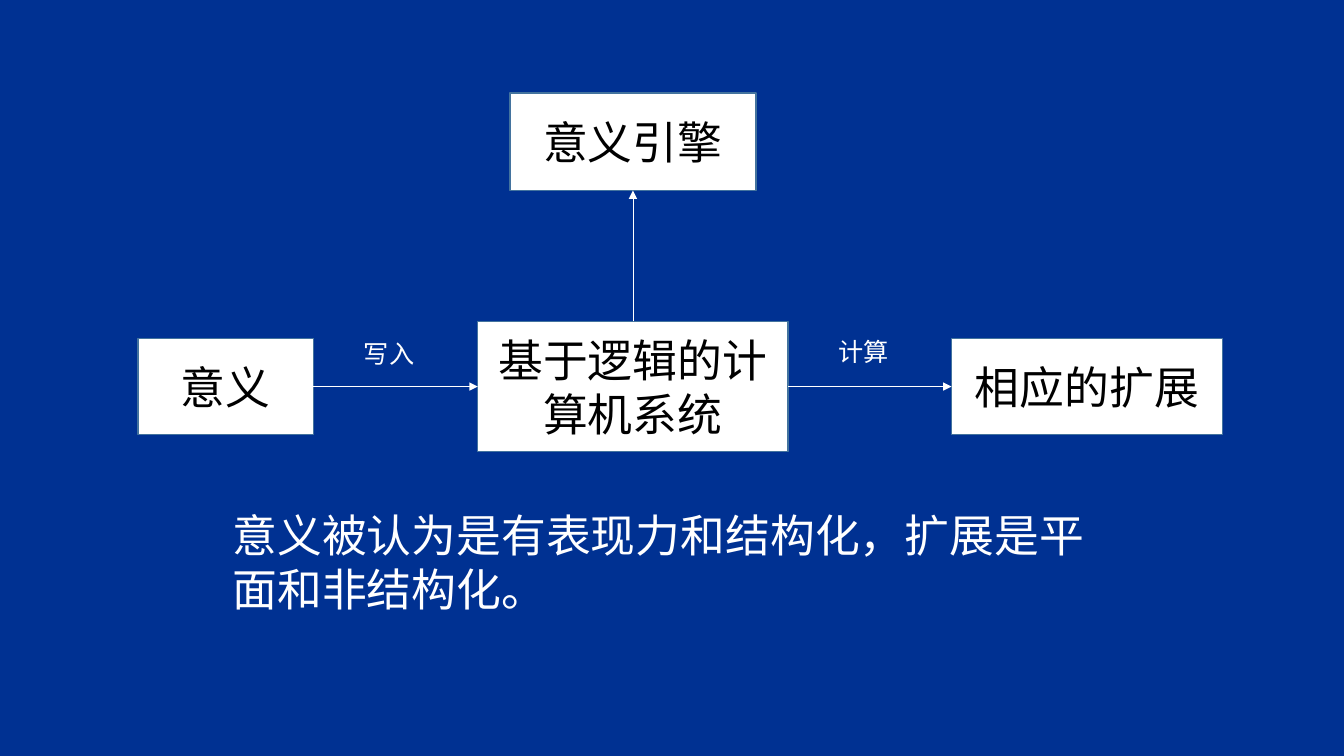
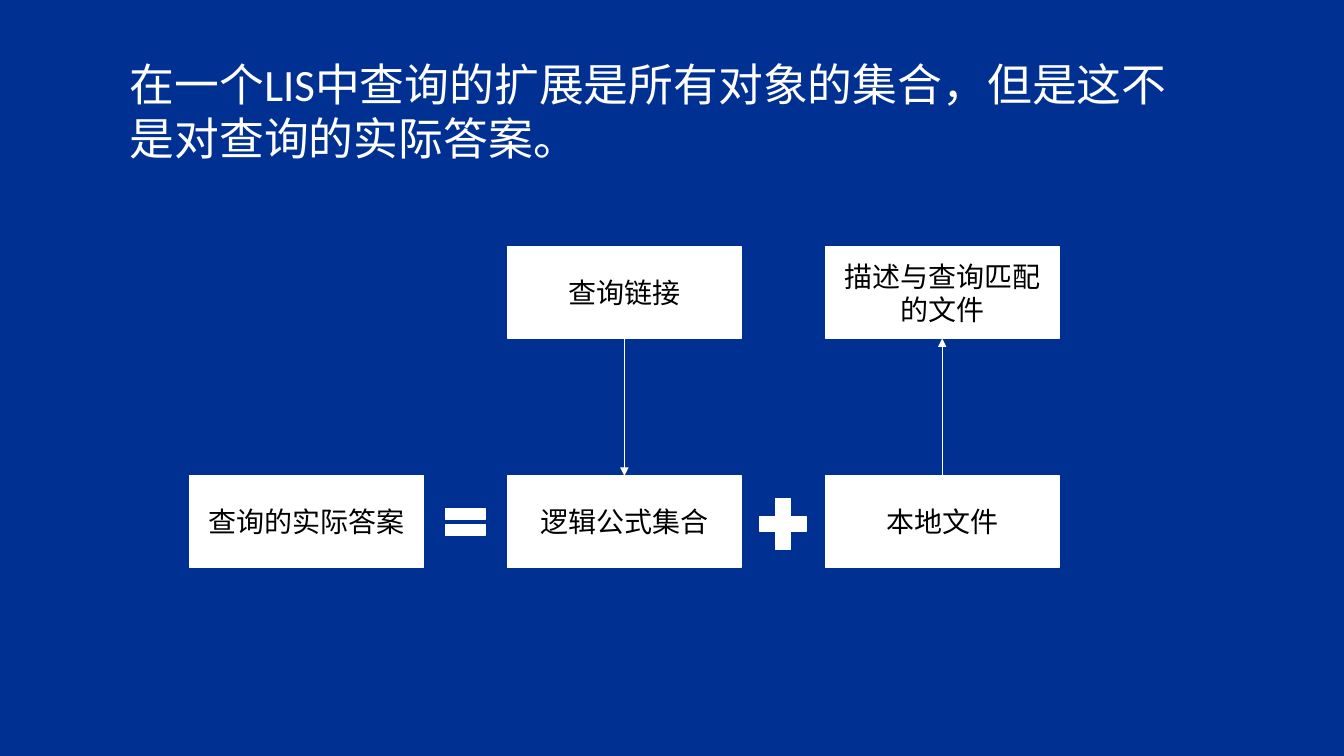
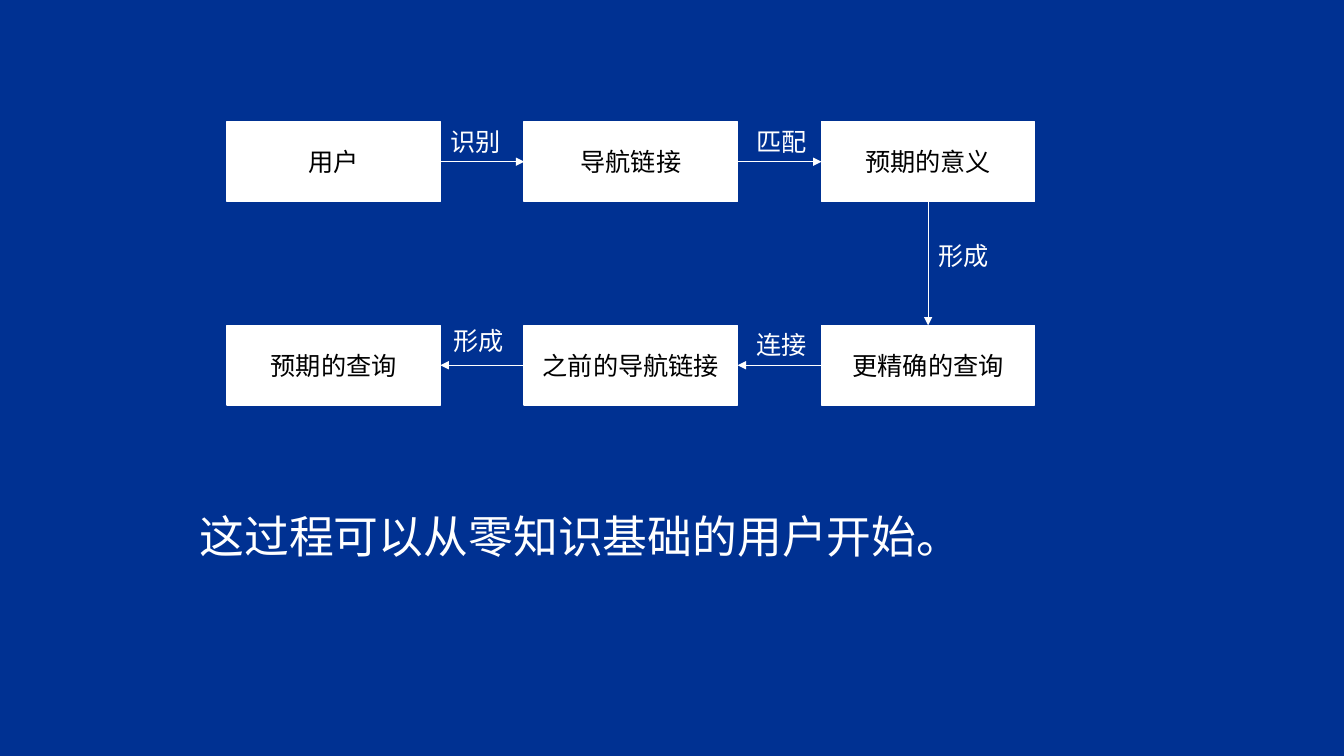
from pptx import Presentation
from pptx.dml.color import RGBColor
from pptx.enum.shapes import MSO_CONNECTOR, MSO_SHAPE
from pptx.enum.text import MSO_ANCHOR, MSO_AUTO_SIZE, PP_ALIGN
from pptx.oxml.ns import qn
from pptx.util import Cm, Pt
from lxml.etree import SubElement

NAVY, WHITE, BLACK, EDGE = "003192", "FFFFFF", "000000", "43739E"
FONT = "Calibri"
BIG, MID, SMALL = 32, 20, 18
TOP, LEFT, BOTTOM, RIGHT = range(4)  # connection sites of a rectangle

# Lengths in cm. Boxes: text -> (left, top, width, height)
ENGINE = {
    "基于逻辑的计算机系统": (12.04, 8.1, 7.82, 3.28),
    "意义引擎": (12.85, 2.34, 6.2, 2.46),
    "意义": (3.48, 8.53, 4.42, 2.42),
    "相应的扩展": (23.98, 8.53, 6.83, 2.42),
}
ENGINE_LINKS = [
    ("基于逻辑的计算机系统", TOP, "意义引擎", BOTTOM),
    ("基于逻辑的计算机系统", RIGHT, "相应的扩展", LEFT),
    ("意义", RIGHT, "基于逻辑的计算机系统", LEFT),
]
# Texts: (text, left, top, width, height, size)
ENGINE_TEXTS = [
    ("意义被认为是有表现力和结构化，扩展是平面和非结构化。", 5.61, 12.67, 22.48, 3, BIG),
    ("写入", 8.92, 8.41, 2.08, 1.02, SMALL),
    ("计算", 20.88, 8.36, 2.08, 1.02, SMALL),
]

# Grids: rows of box texts, None for a free cell
ANSWER = [
    [None, "查询链接", "描述与查询匹配的文件"],
    ["查询的实际答案", "逻辑公式集合", "本地文件"],
]
ANSWER_LINKS = [
    ("查询链接", BOTTOM, "逻辑公式集合", TOP),
    ("本地文件", TOP, "描述与查询匹配的文件", BOTTOM),
]
ANSWER_TEXTS = [
    ("在一个LIS中查询的扩展是所有对象的集合，但是这不是对查询的实际答案。",
     3.02, 1.3, 26.95, 3, BIG),
]
SIGNS = [
    (MSO_SHAPE.MATH_EQUAL, (11.05, 12.57, 1.35, 1.17)),
    (MSO_SHAPE.MATH_PLUS, (18.95, 12.34, 1.57, 1.73)),
]

PROCESS = [
    ["用户", "导航链接", "预期的意义"],
    ["预期的查询", "之前的导航链接", "更精确的查询"],
]
PROCESS_LINKS = [
    ("用户", RIGHT, "导航链接", LEFT),
    ("导航链接", RIGHT, "预期的意义", LEFT),
    ("预期的意义", BOTTOM, "更精确的查询", TOP),
    ("更精确的查询", LEFT, "之前的导航链接", RIGHT),
    ("之前的导航链接", LEFT, "预期的查询", RIGHT),
]
PROCESS_TEXTS = [("这过程可以从零知识基础的用户开始。", 4.78, 12.7, 23.32, 1.63, BIG)] + [
    (word, left, top, 3.38, 1.02, SMALL) for word, left, top in [
        ("识别", 11.1, 3.05), ("匹配", 18.82, 3.05), ("形成", 11.18, 8.08),
        ("连接", 18.82, 8.18), ("形成", 23.39, 5.94)]
]


def color(code):
    """Turn a hex string into a colour."""
    return RGBColor.from_string(code)


def place(rows, left, top, width, height, across, down):
    """Give each text of a grid its place, by equal steps."""
    return {
        text: (left + col * across, top + row * down, width, height)
        for row, line in enumerate(rows)
        for col, text in enumerate(line) if text
    }


def write(frame, text, size, ink):
    """Put one paragraph into a text frame."""
    frame.word_wrap = True
    para = frame.paragraphs[0]
    para.text = text
    para.font.name = FONT
    para.font.size = Pt(size)
    para.font.color.rgb = color(ink)
    return para


def add_solid(slide, kind, spot, edge=WHITE):
    """Add a white shape with a thin edge."""
    shape = slide.shapes.add_shape(kind, *map(Cm, spot))
    shape.shadow.inherit = False
    shape.fill.solid()
    shape.fill.fore_color.rgb = color(WHITE)
    shape.line.color.rgb = color(edge)
    shape.line.width = Pt(1)
    return shape


def add_box(slide, text, spot, size, edge):
    """Add a box with centred black text."""
    box = add_solid(slide, MSO_SHAPE.RECTANGLE, spot, edge)
    box.text_frame.vertical_anchor = MSO_ANCHOR.MIDDLE
    write(box.text_frame, text, size, BLACK).alignment = PP_ALIGN.CENTER
    return box


def add_arrow(slide, start, out, end, into):
    """Join two boxes with an arrow."""
    arrow = slide.shapes.add_connector(MSO_CONNECTOR.STRAIGHT, 0, 0, 0, 0)
    arrow.begin_connect(start, out)
    arrow.end_connect(end, into)
    arrow.line.color.rgb = color(WHITE)
    arrow.line.width = Pt(0.5)
    SubElement(arrow.line._get_or_add_ln(), qn("a:tailEnd"), type="triangle")
    SubElement(arrow._element.spPr, qn("a:effectLst"))


def add_text(slide, text, left, top, width, height, size):
    """Add white text that wraps on the background."""
    frame = slide.shapes.add_textbox(*map(Cm, (left, top, width, height))).text_frame
    write(frame, text, size, WHITE)
    frame.auto_size = MSO_AUTO_SIZE.SHAPE_TO_FIT_TEXT


def add_chart_slide(deck, spots, links, texts, size, edge=WHITE):
    """Add a slide of linked boxes and free texts."""
    slide = deck.slides.add_slide(deck.slide_layouts[6])
    boxes = {text: add_box(slide, text, spot, size, edge)
             for text, spot in spots.items()}
    for start, out, end, into in links:
        add_arrow(slide, boxes[start], out, boxes[end], into)
    for item in texts:
        add_text(slide, *item)
    return slide


deck = Presentation()
deck.slide_width, deck.slide_height = Cm(33.87), Cm(19.05)
back = deck.slide_master.background.fill
back.solid()
back.fore_color.rgb = color(NAVY)

add_chart_slide(deck, ENGINE, ENGINE_LINKS, ENGINE_TEXTS, BIG, EDGE)

answer = add_chart_slide(
    deck, place(ANSWER, 4.78, 6.22, 5.89, 2.31, 8.01, 5.77),
    ANSWER_LINKS, ANSWER_TEXTS, MID)
for kind, spot in SIGNS:
    add_solid(answer, kind, spot)

add_chart_slide(
    deck, place(PROCESS, 5.72, 3.07, 5.38, 2.01, 7.49, 5.13),
    PROCESS_LINKS, PROCESS_TEXTS, SMALL)

deck.save("out.pptx")
